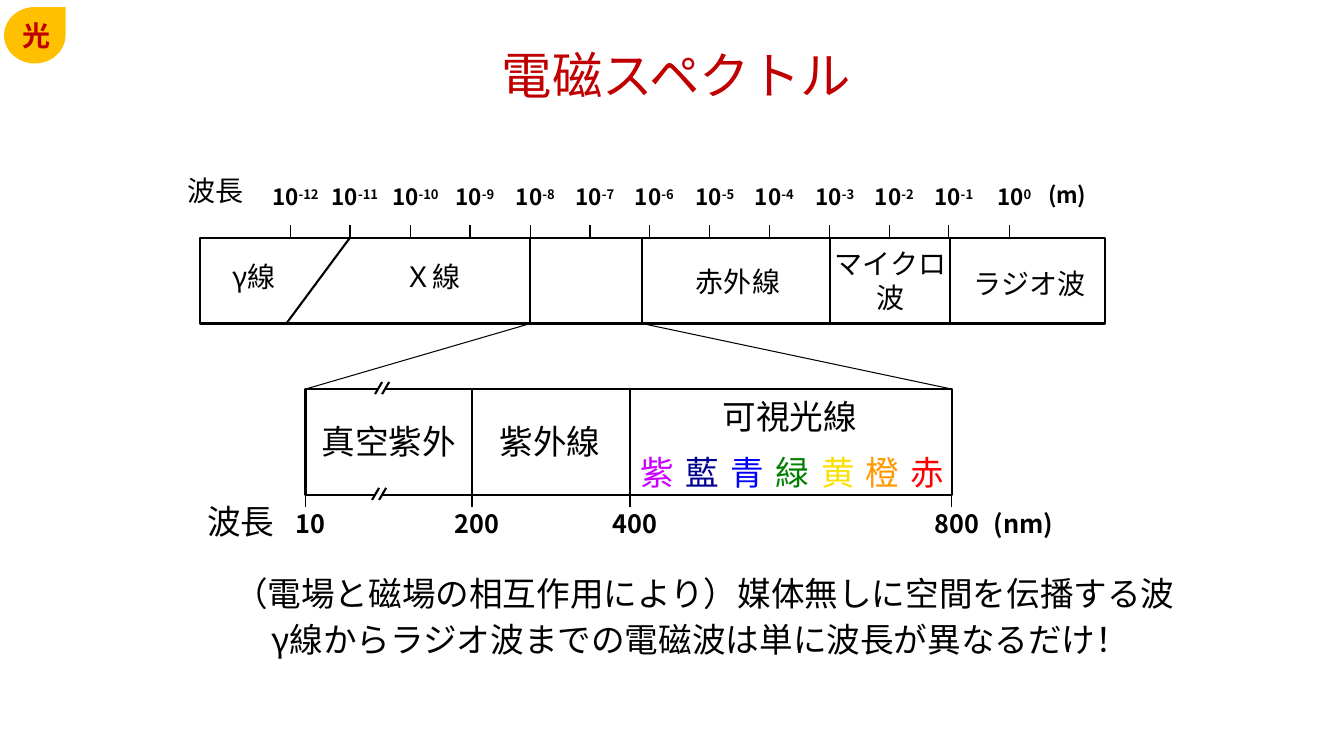
from pptx import Presentation
from pptx import util as u
from pptx.dml import color
from pptx.enum import shapes, text
from pptx.oxml import ns
from lxml import etree

PX = 9144
FONT = "Noto Sans CJK JP"
BLACK = "000000"
DARK_RED = "C00000"
RAINBOW = [("紫", "CA01FF"), ("藍", "000090"), ("青", "0000FF"), ("緑", "008000"),
           ("黄", "FAE102"), ("橙", "FF9900"), ("赤", "FF0000")]


def px(*lengths):
    return [u.Emu(round(length) * PX) for length in lengths]


def rgb(value):
    return color.RGBColor.from_string(value)


def add_run(paragraph, words, size, colour=BLACK, bold=False, raised=False):
    run = paragraph.add_run()
    run.text = words
    run.font.size = u.Pt(size)
    run.font.bold = bold
    run.font.color.rgb = rgb(colour)
    run.font.name = FONT
    properties = run._r.get_or_add_rPr()
    etree.SubElement(properties, ns.qn("a:ea")).set("typeface", FONT)
    if raised:
        properties.set("baseline", "30000")


def add_label(slide, center, top, width, height, words, size,
              colour=BLACK, bold=False, exponent=""):
    box = slide.shapes.add_textbox(*px(center - width / 2, top, width, height))
    frame = box.text_frame
    frame.word_wrap = False
    frame.auto_size = text.MSO_AUTO_SIZE.SHAPE_TO_FIT_TEXT
    for index, line in enumerate(words.split("\n")):
        paragraph = frame.add_paragraph() if index else frame.paragraphs[0]
        paragraph.alignment = text.PP_ALIGN.CENTER
        add_run(paragraph, line, size, colour, bold)
    if exponent:
        add_run(frame.paragraphs[0], exponent, size, colour, bold, raised=True)
    return box


def add_line(parent, start, end, weight):
    connector = parent.add_connector(shapes.MSO_CONNECTOR.STRAIGHT, *px(*start, *end))
    connector.line.color.rgb = rgb(BLACK)
    connector.line.width = u.Pt(weight)
    etree.SubElement(connector._element.spPr, ns.qn("a:effectLst"))


def add_block(parent, kind, box, fill=None, outlined=False):
    shape = parent.add_shape(kind, *px(*box))
    shape.shadow.inherit = False
    if fill:
        shape.fill.solid()
        shape.fill.fore_color.rgb = rgb(fill)
    else:
        shape.fill.background()
    if outlined:
        shape.line.color.rgb = rgb(BLACK)
        shape.line.width = u.Pt(1.5)
    else:
        shape.line.fill.background()
    return shape


def add_badge(slide, box):
    badge = add_block(slide.shapes, shapes.MSO_SHAPE.TEAR, box, "FFC000")
    badge.text_frame.vertical_anchor = text.MSO_ANCHOR.MIDDLE
    paragraph = badge.text_frame.paragraphs[0]
    paragraph.alignment = text.PP_ALIGN.CENTER
    add_run(paragraph, "光", 20, DARK_RED, bold=True)


def add_title(slide, box):
    frame = slide.shapes.add_textbox(*px(*box)).text_frame
    frame.word_wrap = True
    frame.vertical_anchor = text.MSO_ANCHOR.MIDDLE
    paragraph = frame.paragraphs[0]
    paragraph.alignment = text.PP_ALIGN.CENTER
    paragraph.line_spacing = 0.9
    add_run(paragraph, "電磁スペクトル", 36, DARK_RED)


def add_break(slide, left, top):
    group = slide.shapes.add_group_shape()
    gap = add_block(group.shapes, shapes.MSO_SHAPE.RECTANGLE,
                    (left + 5, top + 1, 5, 9), "FFFFFF")
    gap.rotation = 30
    for x in (left, left + 7):
        add_line(group.shapes, (x + 7, top), (x, top + 12), 1.5)


def add_full_spectrum(slide, box):
    left, top, width, height = box
    bottom = top + height
    add_block(slide.shapes, shapes.MSO_SHAPE.RECTANGLE, box, outlined=True)
    for offset in (328, 439, 625, 744):
        add_line(slide.shapes, (left + offset, top), (left + offset, bottom), 1.5)
    add_line(slide.shapes, (left + 149, top), (left + 86, bottom), 1.5)

    bands = [("γ線", 54, 17, 76), ("Ｘ線", 231, 17, 76), ("赤外線", 534, 22, 104),
             ("マイクロ\n波", 685, 4, 132), ("ラジオ波", 823, 23, 132)]
    for name, center, drop, label_width in bands:
        label_height = 77 if "\n" in name else 44
        add_label(slide, left + center, top + drop, label_width, label_height, name, 20)

    for index, exponent in enumerate(range(-12, 1)):
        tick = left + 90 + index * 59.4
        add_line(slide.shapes, (tick, top - 1), (tick, top - 13), 1)
        add_label(slide, tick + 5, top - 59, 76, 37, "10", 16,
                  bold=True, exponent=str(exponent))
    add_label(slide, left + 16, top - 69, 76, 44, "波長", 20)
    add_label(slide, left + 860, top - 61, 61, 37, "(m)", 16, bold=True)


def add_light_detail(slide, box):
    left, top, width, height = box
    bottom = top + height
    add_block(slide.shapes, shapes.MSO_SHAPE.RECTANGLE, box, outlined=True)
    for offset in (165, 322):
        add_line(slide.shapes, (left + offset, top), (left + offset, bottom), 1.5)
    for name, center, drop, label_width in [("真空紫外", 82, 27, 155),
                                            ("紫外線", 243, 27, 123),
                                            ("可視光線", 481, 2, 155)]:
        add_label(slide, left + center, top + drop, label_width, 51, name, 24)
    for index, (name, colour) in enumerate(RAINBOW):
        add_label(slide, left + 349 + index * 44.7, top + 57, 54, 51, name, 24, colour)

    for value, offset in [("10", 0), ("200", 165), ("400", 322), ("800", width)]:
        x = left + offset
        add_line(slide.shapes, (x, bottom + 12), (x, bottom), 1)
        add_label(slide, x + 5, bottom + 8, 74, 40, value, 18, bold=True)
    add_label(slide, left - 64, bottom + 1, 88, 51, "波長", 24)
    add_label(slide, left + 712, bottom + 8, 82, 40, "(nm)", 18, bold=True)
    add_break(slide, left + 69, top - 7)
    add_break(slide, left + 66, bottom - 7)


def add_zoom_lines(slide, full, detail):
    base = full[1] + full[3]
    add_line(slide.shapes, (full[0] + 328, base), (detail[0], detail[1]), 0.75)
    add_line(slide.shapes, (full[0] + 439, base), (detail[0] + detail[2], detail[1]), 0.75)


def add_summary(slide, box):
    left, top, width, height = box
    center = left + width / 2
    add_label(slide, center, top, width, 50,
              "（電場と磁場の相互作用により）媒体無しに空間を伝播する波", 24)
    add_label(slide, center - 4, top + 46, width - 68, 50,
              "γ線からラジオ波までの電磁波は単に波長が異なるだけ！", 24)


def main():
    presentation = Presentation()
    presentation.slide_width, presentation.slide_height = px(1333, 750)
    slide = presentation.slides.add_slide(presentation.slide_layouts[6])
    full = (198, 236, 898, 85)
    detail = (303, 386, 641, 105)
    add_badge(slide, (4, 7, 61, 56))
    add_title(slide, (246, 42, 850, 71))
    add_full_spectrum(slide, full)
    add_light_detail(slide, detail)
    add_zoom_lines(slide, full, detail)
    add_summary(slide, (217, 563, 963, 96))
    presentation.save("out.pptx")


if __name__ == "__main__":
    main()
